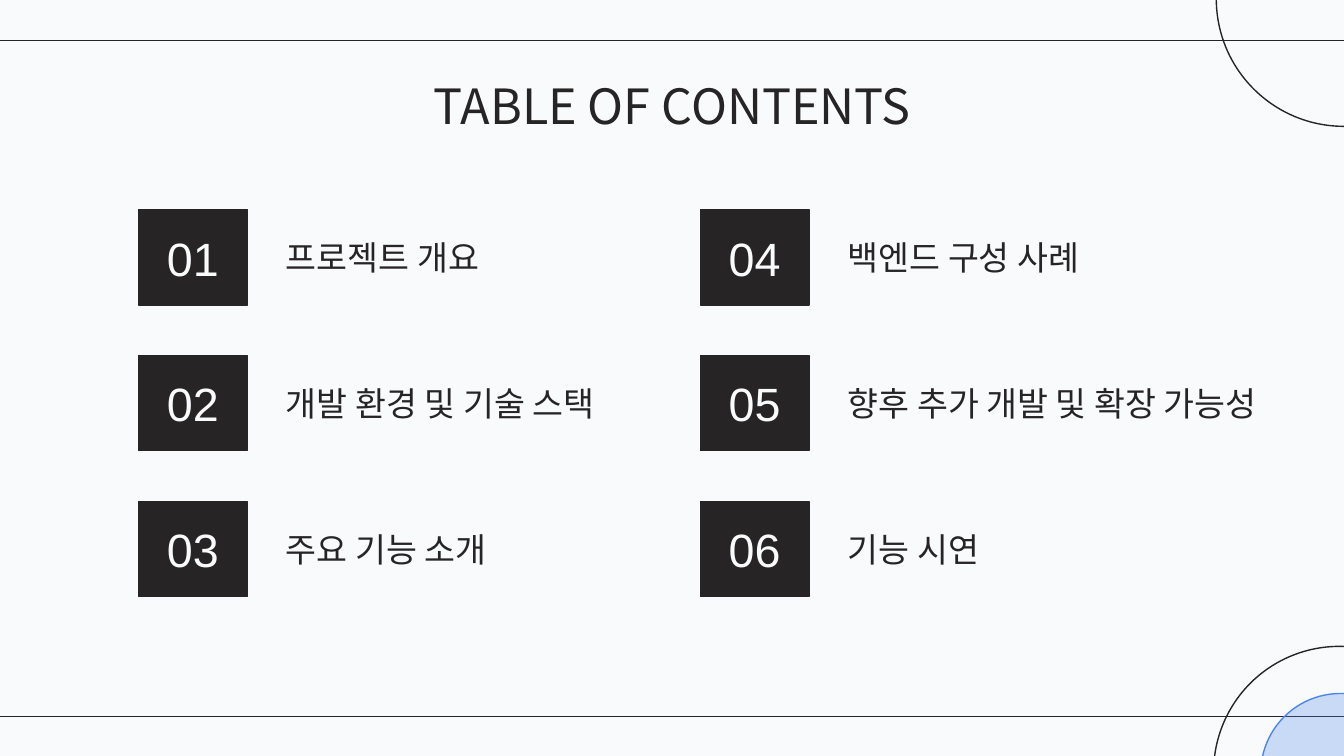
from lxml.etree import SubElement
from pptx import Presentation
from pptx.dml.color import RGBColor
from pptx.enum.shapes import MSO_CONNECTOR, MSO_SHAPE
from pptx.enum.text import MSO_ANCHOR, MSO_AUTO_SIZE, PP_ALIGN
from pptx.oxml.ns import qn
from pptx.util import Inches, Pt

DARK = RGBColor(0x26, 0x24, 0x25)
LIGHT = RGBColor(0xF8, 0xFA, 0xFB)
BLUE = RGBColor(0x4A, 0x86, 0xE8)
KOREAN = "Noto Sans CJK KR"


def write(shape, text, size, font="Arial", color=DARK, align=PP_ALIGN.LEFT):
    """Put one line in the shape; Hangul always uses the Korean font."""
    tf = shape.text_frame
    tf.word_wrap = True
    tf.auto_size = MSO_AUTO_SIZE.NONE
    tf.vertical_anchor = MSO_ANCHOR.MIDDLE
    tf.margin_left = tf.margin_right = Inches(0.1)
    tf.margin_top = tf.margin_bottom = Inches(0.1)
    p = tf.paragraphs[0]
    p.alignment = align
    r = p.add_run()
    r.text = text
    r.font.size = Pt(size)
    r.font.color.rgb = color
    r.font.name = font
    SubElement(r._r.get_or_add_rPr(), qn("a:ea"), typeface=KOREAN)


def add_outlined(kind, x, y, w, h, fill=None, line=DARK):
    shape = s.shapes.add_shape(kind, Inches(x), Inches(y), Inches(w), Inches(h))
    shape.shadow.inherit = False
    if fill is None:
        shape.fill.background()
    else:
        shape.fill.solid()
        shape.fill.fore_color.rgb = fill
    shape.line.color.rgb = line
    shape.line.width = Pt(0.75)
    return shape


prs = Presentation()
prs.slide_width = Inches(10)
prs.slide_height = Inches(10 * 9 / 16)
s = prs.slides.add_slide(prs.slide_layouts[5])
s.background.fill.solid()
s.background.fill.fore_color.rgb = LIGHT

# Rules and corner circles
for y in (0.3, 5.33):
    rule = s.shapes.add_connector(MSO_CONNECTOR.STRAIGHT, Inches(10.02), Inches(y),
                                  Inches(-0.02), Inches(y))
    rule.line.color.rgb = DARK
    rule.line.width = Pt(0.75)
    SubElement(rule._element.spPr, qn("a:effectLst"))

add_outlined(MSO_SHAPE.OVAL, 9.03, 4.81, 1.87, 1.87)
disc = add_outlined(MSO_SHAPE.OVAL, 9.38, 5.16, 1.19, 1.19, fill=BLUE, line=BLUE)
disc_color = disc._element.spPr.find(qn("a:solidFill"))[0]
SubElement(disc_color, qn("a:alpha"), val="27000")
add_outlined(MSO_SHAPE.OVAL, 9.05, -0.96, 1.9, 1.9)

# Title
title = s.shapes.title
title.left, title.top = Inches(0.79), Inches(0.45)
title.width, title.height = Inches(8.43), Inches(0.67)
write(title, "TABLE OF CONTENTS", 26, font=KOREAN, align=PP_ALIGN.CENTER)

# Numbered sections, filled down each column
sections = [("프로젝트 개요", 3), ("개발 환경 및 기술 스택", 3), ("주요 기능 소개", 3),
            ("백엔드 구성 사례", 3), ("향후 추가 개발 및 확장 가능성", 3.45), ("기능 시연", 3)]
for i, (section, width) in enumerate(sections):
    col, row = divmod(i, 3)
    x, y = 1.03 + 4.18 * col, 1.56 + 2.17 * row / 2
    box = add_outlined(MSO_SHAPE.RECTANGLE, x, y, 0.81, 0.71, fill=DARK)
    write(box, f"{i + 1:02}", 25, color=LIGHT, align=PP_ALIGN.CENTER)
    label = s.shapes.add_textbox(Inches(x + 1), Inches(y), Inches(width), Inches(0.71))
    write(label, section, 18)

prs.save("out.pptx")
